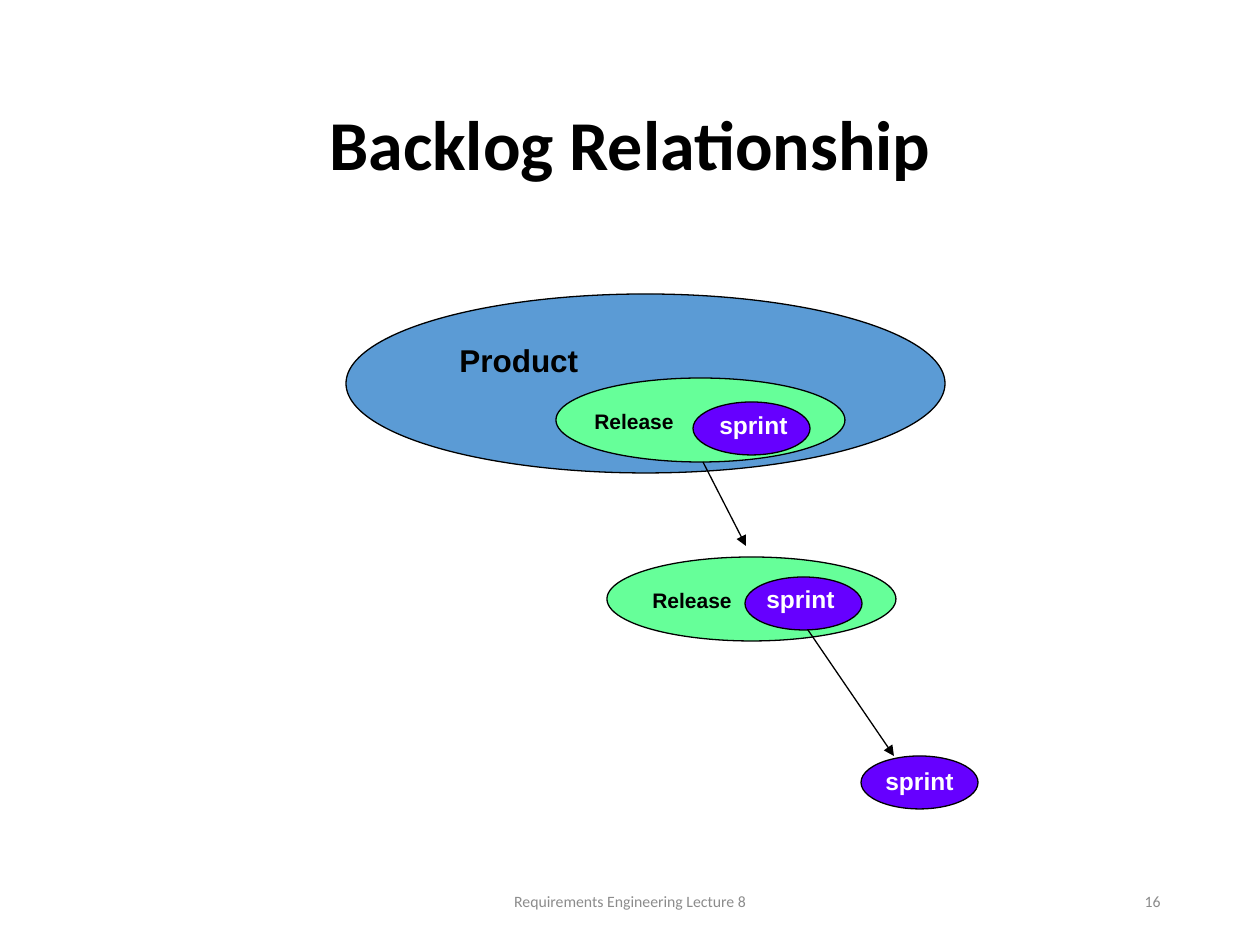
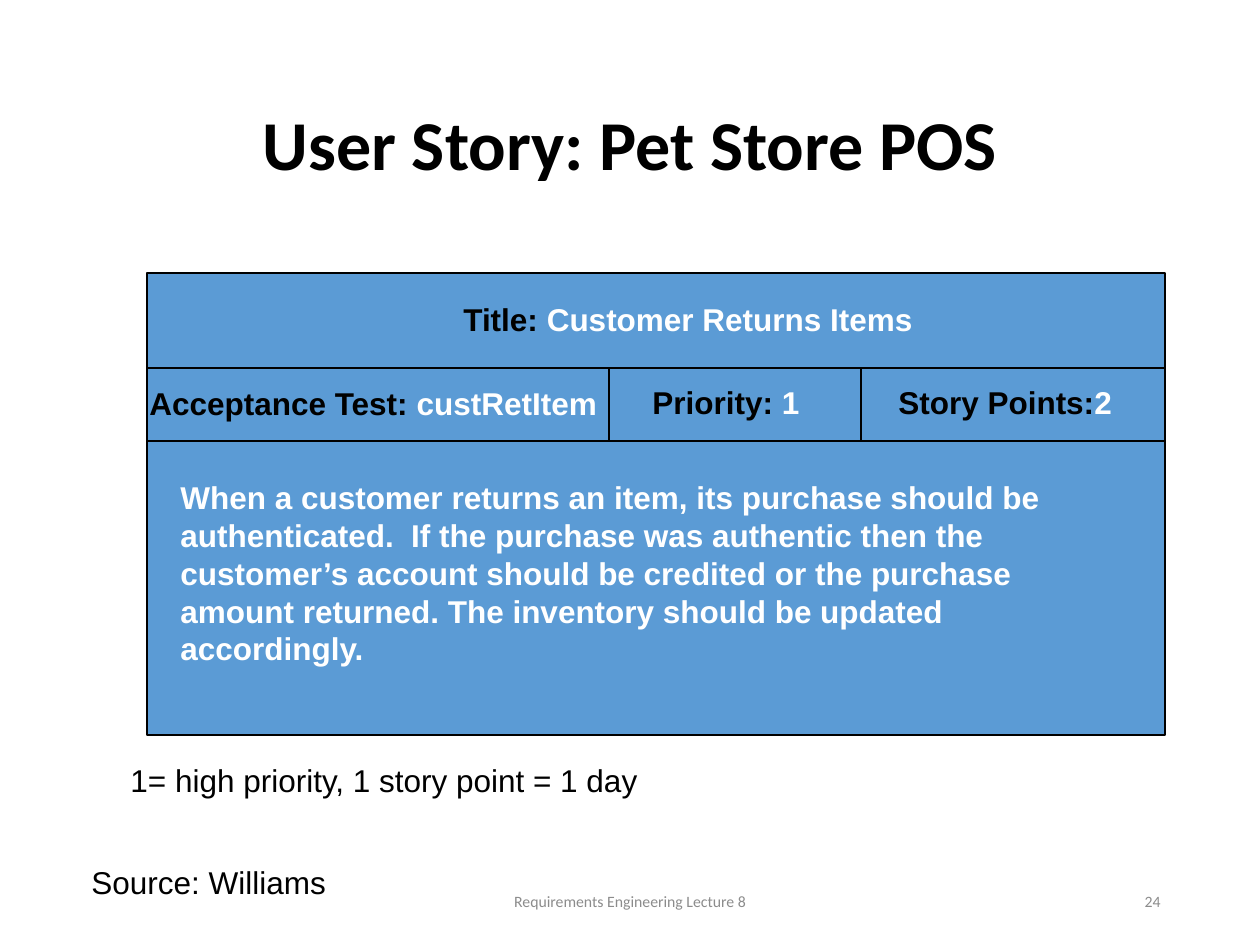
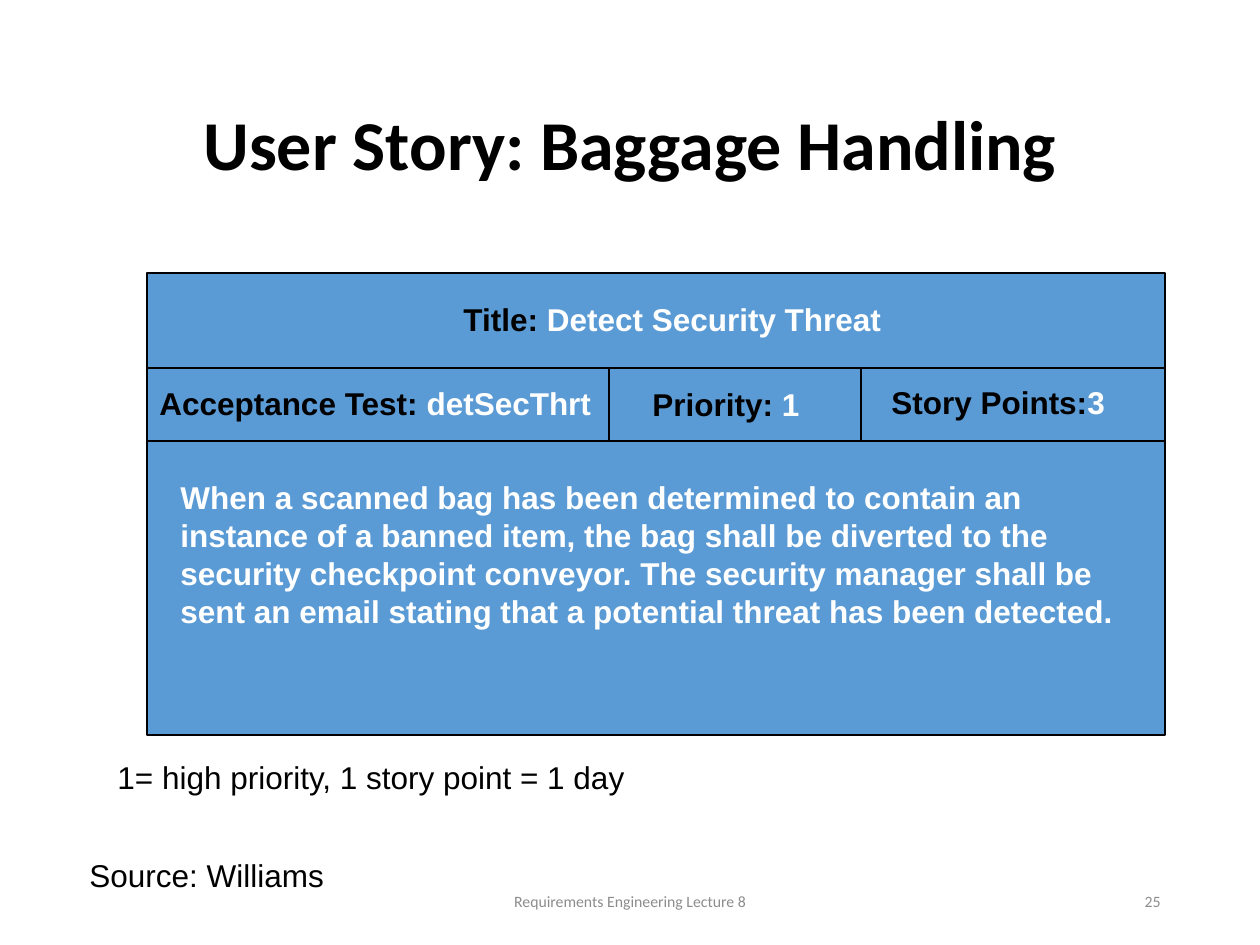
import pptx
import pptx.util
import pptx.dml.color
import pptx.enum.shapes
import pptx.enum.text
import lxml.etree

EMU_PER_PX = 914400 / 126
SLIDE = (1260, 945)
COLORS = {"ink": "000000", "paper": "FFFFFF", "muted": "8C8C8C",
          "product": "5B9BD5", "release": "66FF99", "sprint": "6600FF"}
STYLES = {
    "title": {"name": "Calibri", "size": 40, "bold": True},
    "footer": {"name": "Calibri", "size": 9, "bold": False},
    "strong": {"name": "Arial", "size": 18, "bold": True},
    "plain": {"name": "Arial", "size": 18, "bold": False},
    "release": {"name": "Arial", "size": 12, "bold": True},
    "sprint": {"name": "Arial", "size": 14, "bold": True},
}
ALIGN = pptx.enum.text.PP_ALIGN
SHAPES = pptx.enum.shapes.MSO_SHAPE
FOOTER = "Requirements Engineering Lecture 8"
PRIORITY_NOTE = "1= high priority, 1 story point = 1 day"
SOURCE = "Source: Williams"
RELEASE_SIZE = (289, 84)
SPRINT_SIZE = (117, 53)

STORIES = [
    {"heading": "User Story: Pet Store POS", "number": "24",
     "fields": [("Title: ", "Customer Returns Items", (304, 21, 514, 50)),
                ("Acceptance Test: ", "custRetItem", (-10, 105, 504, 50)),
                ("Priority: ", "1", (493, 104, 190, 50)),
                ("Story Points:", "2", (739, 104, 272, 50))],
     "story": "When a customer returns an item, its purchase should be "
              "authenticated.  If the purchase was authentic then the "
              "customer’s account should be credited or the purchase amount "
              "returned. The inventory should be updated accordingly.",
     "story_height": 204, "note": (118, 755, 598, 50), "source": (79, 857, 325, 50)},
    {"heading": "User Story: Baggage Handling", "number": "25",
     "fields": [("Title: ", "Detect Security Threat", (304, 21, 473, 50)),
                ("Acceptance Test: ", "detSecThrt", (0, 105, 504, 50)),
                ("Priority: ", "1", (493, 106, 210, 50)),
                ("Story Points:", "3", (732, 104, 273, 50))],
     "story": "When a scanned bag has been determined to contain an instance "
              "of a banned item, the bag shall be diverted to the security "
              "checkpoint conveyor. The security manager shall be sent an "
              "email stating that a potential threat has been detected.",
     "story_height": 164, "note": (105, 752, 598, 50), "source": (77, 850, 325, 50)},
]


def px(*lengths):
    """Turn pixel lengths into EMU."""
    return [pptx.util.Emu(round(length * EMU_PER_PX)) for length in lengths]


def rgb(color):
    """Look up a named colour."""
    return pptx.dml.color.RGBColor.from_string(COLORS[color])


def add_text(slide, box, runs, style, align=ALIGN.LEFT, middle=False, spacing=None):
    """Write one paragraph of (text, colour) runs in a box."""
    frame = slide.shapes.add_textbox(*px(*box)).text_frame
    anchors, sizing = pptx.enum.text.MSO_ANCHOR, pptx.enum.text.MSO_AUTO_SIZE
    frame_format = {
        "word_wrap": True,
        "vertical_anchor": anchors.MIDDLE if middle else anchors.TOP,
        "auto_size": sizing.NONE if middle else sizing.SHAPE_TO_FIT_TEXT}
    for key, value in frame_format.items():
        setattr(frame, key, value)
    paragraph = frame.paragraphs[0]
    for key, value in {"alignment": align, "line_spacing": spacing}.items():
        setattr(paragraph, key, value)
    for words, color in runs:
        run = paragraph.add_run()
        run.text = words
        font_format = {**STYLES[style], "size": pptx.util.Pt(STYLES[style]["size"])}
        for key, value in font_format.items():
            setattr(run.font, key, value)
        run.font.color.rgb = rgb(color)


def add_outlined(slide, kind, box, fill):
    """Add a filled shape with a thin dark outline."""
    outlined = slide.shapes.add_shape(kind, *px(*box))
    outlined.shadow.inherit = False
    outlined.fill.solid()
    outlined.fill.fore_color.rgb = rgb(fill)
    outlined.line.color.rgb = rgb("ink")
    outlined.line.width = pptx.util.Pt(0.75)


def add_rule(slide, ends, arrow=False):
    """Draw a thin straight line, with an arrowhead if asked."""
    rule = slide.shapes.add_connector(
        pptx.enum.shapes.MSO_CONNECTOR.STRAIGHT, *px(*ends))
    rule.line.color.rgb = rgb("ink")
    rule.line.width = pptx.util.Pt(0.75)
    properties = rule.line._get_or_add_ln().getparent()
    if arrow:
        lxml.etree.SubElement(rule.line._get_or_add_ln(),
                              pptx.oxml.ns.qn("a:tailEnd"), type="triangle")
    lxml.etree.SubElement(properties, pptx.oxml.ns.qn("a:effectLst"))


def add_page(deck, heading, number):
    """Add a blank slide with its heading, footer and number."""
    slide = deck.slides.add_slide(deck.slide_layouts[6])
    add_text(slide, (417, 876, 426, 50), [(FOOTER, "muted")], "footer",
             ALIGN.CENTER, True)
    add_text(slide, (890, 876, 283, 50), [(number, "muted")], "footer",
             ALIGN.RIGHT, True)
    add_text(slide, (87, 97, 1086, 102), [(heading, "ink")], "title",
             ALIGN.CENTER, True, 0.9)
    return slide


def add_sprint(slide, left, top, label_offset):
    """Draw a sprint ellipse with its label."""
    add_outlined(slide, SHAPES.OVAL, (left, top, *SPRINT_SIZE), "sprint")
    dx, dy = label_offset
    add_text(slide, (left + dx, top + dy, 102, 43), [("sprint", "paper")], "sprint")


def add_release(slide, left, top, label_left, sprint_offset, sprint_label):
    """Draw a release ellipse holding a sprint."""
    add_outlined(slide, SHAPES.OVAL, (left, top, *RELEASE_SIZE), "release")
    dx, dy = sprint_offset
    add_sprint(slide, left + dx, top + dy, sprint_label)
    add_text(slide, (left + label_left, top + 24, 126, 38),
             [("Release", "ink")], "release")


def add_backlog(slide, left, top):
    """Draw the product backlog and what is drawn out of it."""
    add_outlined(slide, SHAPES.OVAL, (left, top, 599, 179), "product")
    add_text(slide, (left + 101, top + 41, 353, 50), [("Product", "ink")], "strong")
    add_release(slide, left + 210, top + 84, 26, (137, 24), (14, 2))
    add_release(slide, left + 261, top + 263, 33, (138, 20), (9, 1))
    add_sprint(slide, left + 515, top + 462, (12, 4))
    for x1, y1, x2, y2 in [(357, 168, 400, 252), (462, 336, 548, 462)]:
        add_rule(slide, (left + x1, top + y1, left + x2, top + y2), True)


def add_story_card(slide, box, story):
    """Draw a user story card with its fields and text."""
    left, top, width, height = box
    title_bottom, fields_bottom = top + 95, top + 168
    add_outlined(slide, SHAPES.RECTANGLE, box, "product")
    for y in (title_bottom, fields_bottom):
        add_rule(slide, (left, y, left + width, y))
    for x in (left + 462, left + 714):
        add_rule(slide, (x, title_bottom, x, fields_bottom))
    for label, value, (dx, dy, field_width, field_height) in story["fields"]:
        add_text(slide, (left + dx, top + dy, field_width, field_height),
                 [(label, "ink"), (value, "paper")], "strong")
    add_text(slide, (left + 21, top + 199, width - 42, story["story_height"]),
             [(story["story"], "paper")], "strong")


def main():
    """Build the deck and save it."""
    deck = pptx.Presentation()
    deck.slide_width, deck.slide_height = px(*SLIDE)
    add_backlog(add_page(deck, "Backlog Relationship", "16"), 346, 294)
    for story in STORIES:
        slide = add_page(deck, story["heading"], story["number"])
        add_story_card(slide, (147, 273, 1018, 462), story)
        add_text(slide, story["note"], [(PRIORITY_NOTE, "ink")], "plain")
        add_text(slide, story["source"], [(SOURCE, "ink")], "plain")
    deck.save("out.pptx")


if __name__ == "__main__":
    main()
